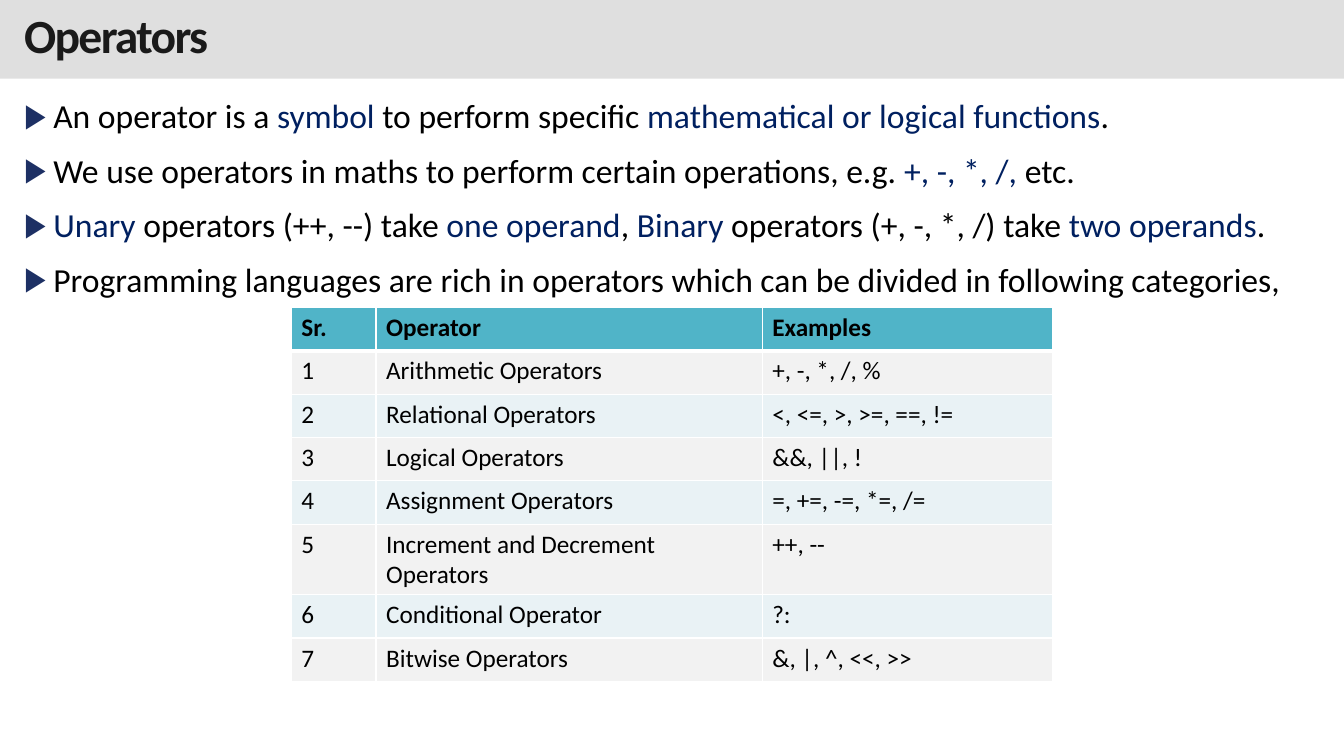
from lxml import etree
from pptx import Presentation
from pptx.dml.color import RGBColor
from pptx.enum import shapes, text
from pptx.oxml import ns
from pptx.util import Inches, Pt

FONT = "Calibri"
BLACK, NAVY, WHITE = "000000", "002060", "FFFFFF"
BULLET, HEADER, BANDS = "1D3064", "50B4C8", ("F2F2F2", "E9F2F5")

TITLE = "Operators"
POINTS = [
    [("An operator is a ", BLACK), ("symbol", NAVY),
     (" to perform specific ", BLACK),
     ("mathematical or logical functions", NAVY), (".", BLACK)],
    [("We use operators in maths to perform certain operations, e.g. ", BLACK),
     ("+, -, *, /, ", NAVY), ("etc.", BLACK)],
    [("Unary", NAVY), (" operators (++, --) take ", BLACK),
     ("one operand", NAVY), (", ", BLACK), ("Binary", NAVY),
     (" operators (+, -, *, /) take ", BLACK),
     ("two operands", NAVY), (".", BLACK)],
    [("Programming languages are rich in operators which can be divided "
      "in following categories,", BLACK)],
]
COLUMNS = [("Sr.", 0.84), ("Operator", 3.83), ("Examples", 2.88)]
OPERATORS = [
    ("Arithmetic Operators", "+, -, *, /, %"),
    ("Relational Operators", "<, <=, >, >=, ==, !="),
    ("Logical Operators", "&&, ||, !"),
    ("Assignment Operators", "=, +=, -=, *=, /="),
    ("Increment and Decrement Operators", "++, --"),
    ("Conditional Operator", "?:"),
    ("Bitwise Operators", "&, |, ^, <<, >>"),
]
ROW_HEIGHT = 0.43


def rgb(value):
    return RGBColor.from_string(value)


def child(parent, tag, **attrs):
    return etree.SubElement(parent, ns.qn(tag), attrs)


def add_run(p, words, size, color, bold=False):
    r = p.add_run()
    r.text = words
    r.font.name, r.font.size, r.font.bold = FONT, Pt(size), bold
    r.font.color.rgb = rgb(color)
    return r


def add_title(s):
    sp = s.shapes.add_shape(shapes.MSO_SHAPE.RECTANGLE, 0, 0, Inches(13.33), Inches(0.78))
    sp.shadow.inherit = False
    sp.line.fill.background()
    sp.fill.solid()
    sp.fill.fore_color.rgb = rgb("C0C0C0")
    child(sp.fill._xPr.find(".//" + ns.qn("a:srgbClr")), "a:alpha", val="50000")
    tf = sp.text_frame
    tf.word_wrap = True
    tf.vertical_anchor = text.MSO_ANCHOR.MIDDLE
    tf.margin_left = tf.margin_right = Inches(0.24)
    tf.margin_top = tf.margin_bottom = Inches(0.12)
    p = tf.paragraphs[0]
    p.alignment = text.PP_ALIGN.LEFT
    p.line_spacing = 0.85
    r = add_run(p, TITLE, 34, "1A1A1A", True)
    r._r.get_or_add_rPr().set("spc", "-120")


def add_points(s):
    sp = s.shapes.add_textbox(Inches(0.14), Inches(0.94), Inches(13.05), Inches(2.07))
    tf = sp.text_frame
    tf.word_wrap = True
    for i, runs in enumerate(POINTS):
        p = tf.add_paragraph() if i else tf.paragraphs[0]
        p.alignment = text.PP_ALIGN.JUSTIFY
        p.line_spacing = 0.9
        p.space_before = Pt(13)
        pPr = p._p.get_or_add_pPr()
        pPr.set("marL", str(Inches(0.29)))
        pPr.set("indent", str(-Inches(0.29)))
        child(child(pPr, "a:buClr"), "a:srgbClr", val=BULLET)
        child(pPr, "a:buFont", typeface=FONT)
        child(pPr, "a:buChar", char="▶")
        for words, color in runs:
            add_run(p, words, 24, color)


def set_borders(cell, top, bottom):
    tcPr = cell._tc.get_or_add_tcPr()
    for tag, width in (("a:lnL", 1), ("a:lnR", 1), ("a:lnT", top), ("a:lnB", bottom)):
        ln = child(tcPr, tag, w=str(Pt(width)))
        child(child(ln, "a:solidFill"), "a:srgbClr", val=WHITE)


def add_operator_table(s):
    rows = [[name for name, _ in COLUMNS]]
    rows += [(str(n), *row) for n, row in enumerate(OPERATORS, 1)]
    width = sum(w for _, w in COLUMNS)
    table = s.shapes.add_table(len(rows), len(COLUMNS), Inches(2.89), Inches(3.05),
                               Inches(width), Inches(ROW_HEIGHT * len(rows))).table
    for column, (_, w) in zip(table.columns, COLUMNS):
        column.width = Inches(w)
    for i, row in enumerate(rows):
        table.rows[i].height = Inches(ROW_HEIGHT)
        for j, words in enumerate(row):
            cell = table.cell(i, j)
            set_borders(cell, 3 if i == 1 else 1, 3 if i == 0 else 1)
            cell.fill.solid()
            cell.fill.fore_color.rgb = rgb(BANDS[(i - 1) % 2] if i else HEADER)
            add_run(cell.text_frame.paragraphs[0], words, 18, BLACK, i == 0)


def main():
    prs = Presentation()
    prs.slide_width, prs.slide_height = Inches(13.33), Inches(7.5)
    s = prs.slides.add_slide(prs.slide_layouts[6])
    add_title(s)
    add_points(s)
    add_operator_table(s)
    prs.save("out.pptx")


if __name__ == "__main__":
    main()
